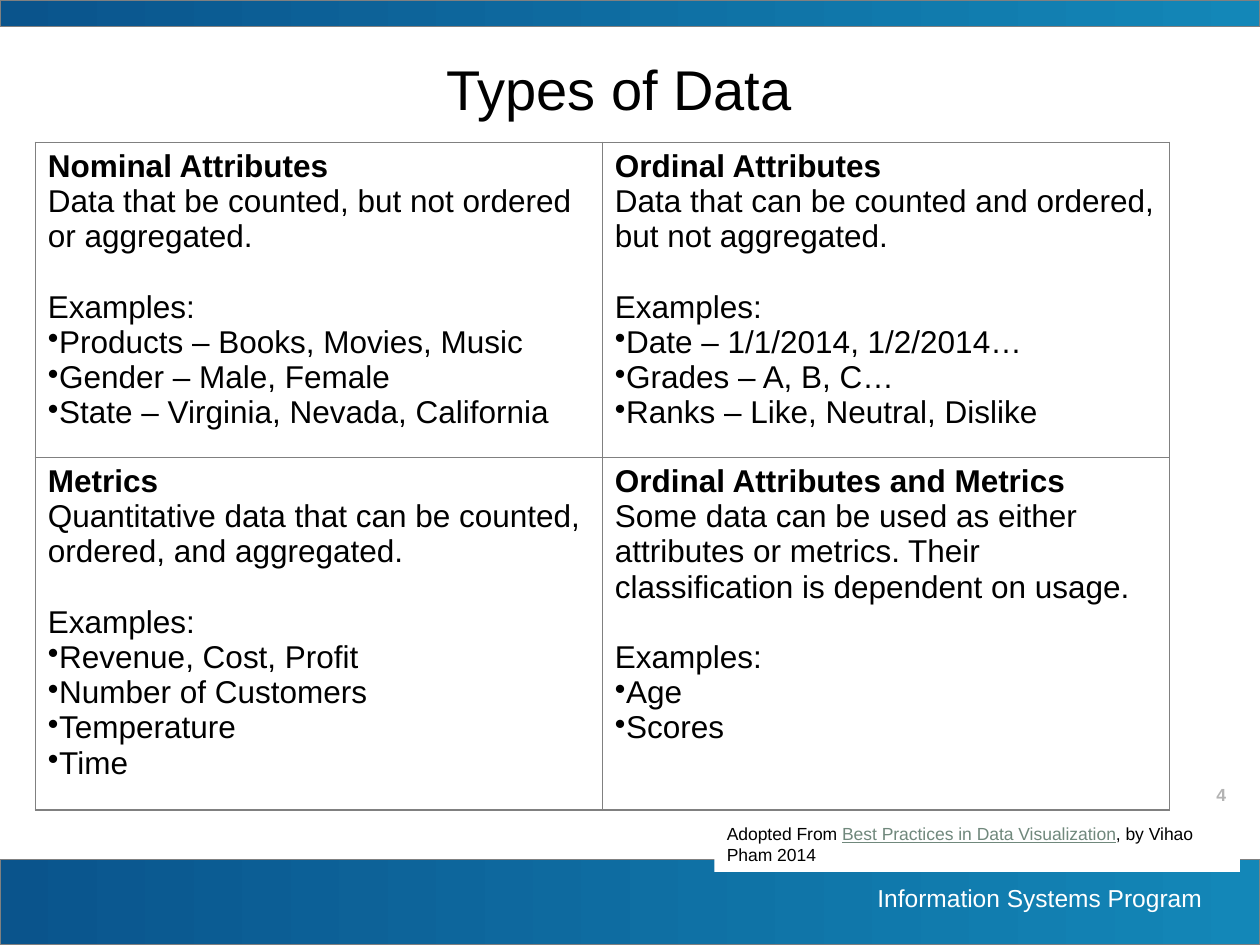
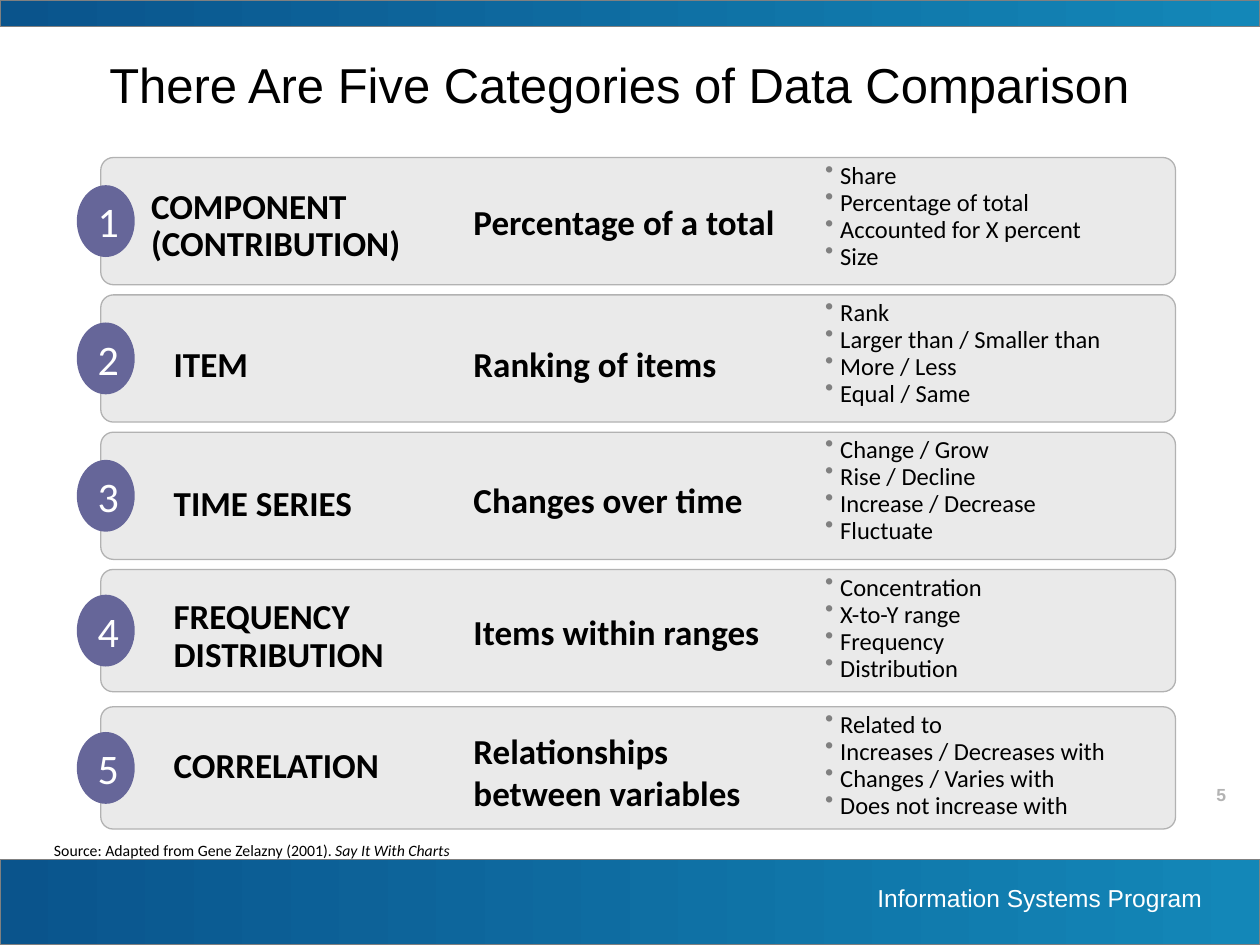
from lxml import etree
from pptx import Presentation
from pptx.dml.color import RGBColor
from pptx.enum.shapes import MSO_SHAPE
from pptx.enum.text import MSO_ANCHOR, PP_ALIGN
from pptx.oxml.ns import qn
from pptx.util import Inches, Pt

RECTANGLE, ROUNDED, OVAL = MSO_SHAPE.RECTANGLE, MSO_SHAPE.ROUNDED_RECTANGLE, MSO_SHAPE.OVAL
LEFT, CENTER, RIGHT = PP_ALIGN.LEFT, PP_ALIGN.CENTER, PP_ALIGN.RIGHT
TOP, MIDDLE = MSO_ANCHOR.TOP, MSO_ANCHOR.MIDDLE

WIDTH, HEIGHT = Inches(10), Inches(7.5)
COLUMN, ROW = WIDTH / 10, HEIGHT / 7.5  # grid of 10 columns by 7.5 rows

BLACK, WHITE, GRAY = "000000", "FFFFFF", "808080"
BAND_START, BAND_END = "0A548C", "1387B8"
PAGE_GRAY, LINK_GREEN = "B3B3B3", "70887C"
CARD_FILL, CARD_LINE, BADGE_FILL = "EAEAEA", "B2B2B2", "666699"

BODY = {"name": "Arial", "size": Pt(18), "color": BLACK, "bold": False}
SMALL = BODY | {"size": Pt(10)}
PAGE = SMALL | {"color": PAGE_GRAY, "bold": True}
FOOTER = BODY | {"size": Pt(14), "color": WHITE}
HEADING = {"name": "Calibri", "size": Pt(20), "color": BLACK, "bold": True}
PHRASE = HEADING | {"size": Pt(14), "bold": False}
BADGE = PHRASE | {"size": Pt(24), "color": WHITE}
SOURCE = PHRASE | {"size": Pt(9)}

TABLE_BOX = (0.28, 1.13, 9, 5.3)
TABLE_ROWS = (2.5, 2.8)
DATA_TYPES = [
    [("Nominal Attributes", "Data that be counted, but not ordered or aggregated.",
      ["Products – Books, Movies, Music", "Gender – Male, Female",
       "State – Virginia, Nevada, California"]),
     ("Ordinal Attributes", "Data that can be counted and ordered, but not aggregated.",
      ["Date – 1/1/2014, 1/2/2014…", "Grades – A, B, C…", "Ranks – Like, Neutral, Dislike"])],
    [("Metrics", "Quantitative data that can be counted, ordered, and aggregated.",
      ["Revenue, Cost, Profit", "Number of Customers", "Temperature", "Time"]),
     ("Ordinal Attributes and Metrics",
      "Some data can be used as either attributes or metrics. "
      "Their classification is dependent on usage.",
      ["Age", "Scores"])],
]

CARDS_LEFT, CARDS_TOP, CARD_WIDTH, CARD_PITCH = 0.8, 1.25, 8.53, 1.09
# name, its box in the card, line spacing, meaning, its drop in the card, card height, phrases
COMPARISONS = [
    ("COMPONENT (CONTRIBUTION)", (0.3, 0.2, 2.39, 0.71), 0.9, "Percentage of a total", 0.29, 1.01,
     ["Share", "Percentage of total", "Accounted for X percent", "Size"]),
    ("ITEM", (0.48, 0.33, 2.02, 0.44), 1, "Ranking of items", 0.33, 1.01,
     ["Rank", "Larger than / Smaller than", "More / Less", "Equal / Same"]),
    ("TIME SERIES", (0.48, 0.34, 2.02, 0.44), 1, "Changes over time", 0.32, 1.01,
     ["Change / Grow", "Rise / Decline", "Increase / Decrease", "Fluctuate"]),
    ("FREQUENCY DISTRIBUTION", (0.48, 0.19, 2.02, 0.71), 0.9, "Items within ranges", 0.28, 0.97,
     ["Concentration", "X-to-Y range", "Frequency", "Distribution"]),
    ("CORRELATION", (0.48, 0.28, 2.02, 0.4), 0.9, "Relationships between variables", 0.13, 0.97,
     ["Related to", "Increases / Decreases with", "Changes / Varies with",
      "Does not increase with"]),
]


def rgb(value):
    return RGBColor.from_string(value)


def grid(box):
    """Turn left, top, width and height in grid cells into lengths."""
    left, top, width, height = box
    return [round(n) for n in (left * COLUMN, top * ROW, width * COLUMN, height * ROW)]


def inside(box, part):
    """Shift a part from its place in the box to its place on the slide."""
    return (box[0] + part[0], box[1] + part[1], part[2], part[3])


def set_format(target, values):
    for name, value in values.items():
        setattr(target, name, value)


def add_run(paragraph, text, style, **extra):
    run = paragraph.add_run()
    run.text = text
    values = style | extra
    run.font.color.rgb = rgb(values.pop("color"))
    set_format(run.font, values)


def add_bullet(paragraph, color, indent):
    properties = paragraph._p.get_or_add_pPr()
    properties.set("marL", str(Inches(indent)))
    properties.set("indent", str(-Inches(indent)))
    bullet_color = etree.SubElement(properties, qn("a:buClr"))
    etree.SubElement(bullet_color, qn("a:srgbClr"), val=color)
    etree.SubElement(properties, qn("a:buChar"), char="•")


def next_paragraph(frame):
    first = frame.paragraphs[0]
    return frame.add_paragraph() if first.runs else first


def add_text(slide, box, runs, align=LEFT, spacing=1):
    """Add a wrapped text box of one paragraph from (text, style) pairs."""
    frame = slide.shapes.add_textbox(*grid(box)).text_frame
    frame.word_wrap = True
    paragraph = frame.paragraphs[0]
    set_format(paragraph, {"alignment": align, "line_spacing": spacing})
    for text, style in runs:
        add_run(paragraph, text, style)


def add_panel(slide, kind, box, fill, line=None):
    panel = slide.shapes.add_shape(kind, *grid(box))
    panel.shadow.inherit = False
    if fill:
        panel.fill.solid()
        panel.fill.fore_color.rgb = rgb(fill)
    if line:
        panel.line.color.rgb = rgb(line)
        panel.line.width = Pt(0.75)
    else:
        panel.line.fill.background()
    return panel


def add_band(slide, box):
    fill = add_panel(slide, RECTANGLE, box, None, GRAY).fill
    fill.gradient()
    fill.gradient_angle = 0
    for stop, color in zip(fill.gradient_stops, (BAND_START, BAND_END)):
        stop.color.rgb = rgb(color)


def add_slide(deck, title, title_size, page):
    """Add a slide with the shared bands, footer, page number and title."""
    slide = deck.slides.add_slide(deck.slide_layouts[5])
    add_text(slide, (9, 6.17, 0.83, 0.27), [(page, PAGE)], RIGHT)
    for band in ((0, 6.82, 10, 0.68), (0, 0, 10, 0.21)):
        add_band(slide, band)
    add_text(slide, (5.55, 6.96, 4.09, 0.34), [("Information Systems Program", FOOTER)], RIGHT)
    heading = slide.shapes.title
    sides = ("left", "top", "width", "height")
    set_format(heading, dict(zip(sides, grid((0.33, 0.33, 9.17, 0.75)))))
    set_format(heading.text_frame,
               {"vertical_anchor": TOP, "margin_top": Inches(0.1), "word_wrap": True})
    paragraph = heading.text_frame.paragraphs[0]
    paragraph.alignment = CENTER
    add_run(paragraph, title, BODY, size=Pt(title_size))
    return slide


def set_borders(cell, color, width):
    properties = cell._tc.get_or_add_tcPr()
    for index, side in enumerate(("lnL", "lnR", "lnT", "lnB")):
        line = etree.Element(qn(f"a:{side}"), w=str(Pt(width)))
        fill = etree.SubElement(line, qn("a:solidFill"))
        etree.SubElement(fill, qn("a:srgbClr"), val=color)
        properties.insert(index, line)


def fill_cell(cell, name, meaning, examples):
    cell.fill.background()
    set_borders(cell, GRAY, 1)
    frame = cell.text_frame
    add_run(next_paragraph(frame), name, BODY, bold=True)
    add_run(next_paragraph(frame), meaning, BODY)
    label = next_paragraph(frame)
    label.space_before = Pt(20)
    add_run(label, "Examples:", BODY)
    for example in examples:
        paragraph = next_paragraph(frame)
        add_bullet(paragraph, BLACK, 0.09)
        add_run(paragraph, example, BODY)


def add_data_types(slide, box):
    table = slide.shapes.add_table(2, 2, *grid(box)).table
    set_format(table, {"first_row": False, "horz_banding": False})
    for row, height, kinds in zip(table.rows, TABLE_ROWS, DATA_TYPES):
        row.height = round(height * ROW)
        for cell, kind in zip(row.cells, kinds):
            fill_cell(cell, *kind)


def add_attribution(slide, box):
    frame = add_panel(slide, RECTANGLE, box, WHITE).text_frame
    set_format(frame, {"word_wrap": True, "vertical_anchor": TOP})
    paragraph = frame.paragraphs[0]
    paragraph.alignment = LEFT
    add_run(paragraph, "Adopted From ", SMALL)
    add_run(paragraph, "Best Practices in Data Visualization", SMALL,
            color=LINK_GREEN, underline=True)
    add_run(paragraph, ", by Vihao Pham 2014", SMALL)


def add_badge(slide, box, number):
    frame = add_panel(slide, OVAL, box, BADGE_FILL).text_frame
    set_format(frame, {"word_wrap": False, "vertical_anchor": MIDDLE})
    paragraph = frame.paragraphs[0]
    paragraph.alignment = LEFT
    add_run(paragraph, str(number), BADGE)


def add_phrases(slide, box, phrases):
    frame = slide.shapes.add_textbox(*grid(box)).text_frame
    frame.word_wrap = True
    for index, phrase in enumerate(phrases):
        paragraph = next_paragraph(frame)
        add_bullet(paragraph, GRAY, 0.12)
        paragraph.line_spacing = 0.5
        paragraph.space_before = Pt(7 if index else 0)
        add_run(paragraph, phrase, PHRASE)


def add_comparison(slide, box, number, name, name_box, spacing, meaning, drop, phrases):
    card = add_panel(slide, ROUNDED, box, CARD_FILL, CARD_LINE)
    card.adjustments[0] = 0.1
    add_text(slide, inside(box, name_box), [(name, HEADING)], spacing=spacing)
    add_text(slide, inside(box, (2.86, drop, 2.6, 0.44)), [(meaning, HEADING)])
    add_phrases(slide, inside(box, (5.65, 0.07, 2.98, 0.93)), phrases)
    badge_height = 0.57
    badge_top = (box[3] - badge_height) / 2
    add_badge(slide, inside(box, (-0.19, badge_top, 0.46, badge_height)), number)


def build_data_types(deck):
    slide = add_slide(deck, "Types of Data", 32, "4")
    add_data_types(slide, TABLE_BOX)
    add_attribution(slide, (5.67, 6.48, 4.17, 0.44))


def build_comparisons(deck):
    slide = add_slide(deck, "There Are Five Categories of Data Comparison", 28, "5")
    for index, (name, name_box, spacing, meaning, drop, height, phrases) in enumerate(COMPARISONS):
        box = (CARDS_LEFT, CARDS_TOP + index * CARD_PITCH, CARD_WIDTH, height)
        add_comparison(slide, box, index + 1, name, name_box, spacing, meaning, drop, phrases)
    add_text(slide, (0.33, 6.62, 3.92, 0.25),
             [("Source: Adapted from Gene Zelazny (2001). ", SOURCE),
              ("Say It With Charts", SOURCE | {"italic": True})])


def main():
    deck = Presentation()
    set_format(deck, {"slide_width": WIDTH, "slide_height": HEIGHT})
    build_data_types(deck)
    build_comparisons(deck)
    deck.save("out.pptx")


if __name__ == "__main__":
    main()
